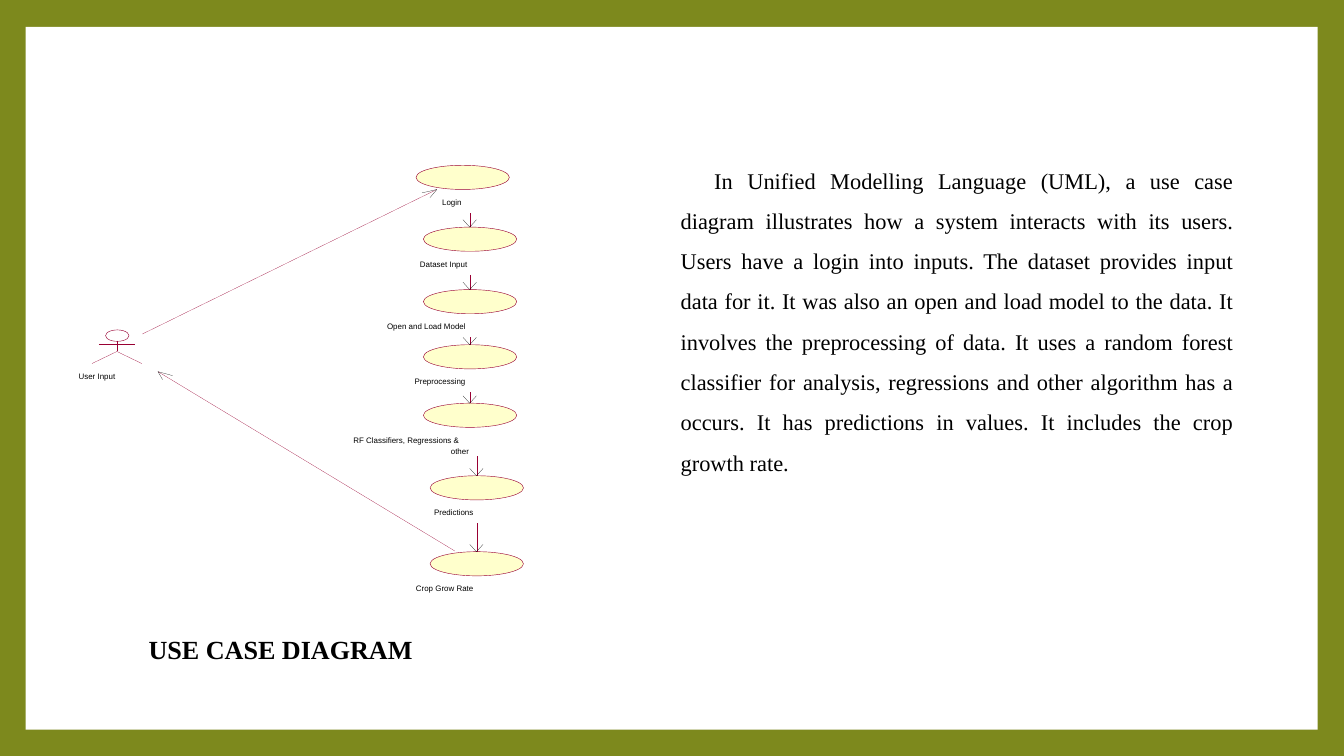
from lxml import etree
from pptx import Presentation
from pptx import util as u
from pptx.dml.color import RGBColor
from pptx.enum import shapes, text
from pptx.oxml import ns

PX = 9144

THEME = {
    "frame": "7D891D", "panel": "FFFFFF", "oval": "FFFFCC",
    "outline": "990033", "ink": "000000",
    "serif": "Times New Roman", "sans": "Arial",
    "title": 28, "body": 24, "label": 8.5,
    "oval_line": 0.44, "limb_line": 0.23, "arrow_line": 0.19,
}

TITLE = "USE CASE DIAGRAM"
BODY = (
    "In Unified Modelling Language (UML), a use case diagram illustrates how a "
    "system interacts with its users. Users have a login into inputs. The dataset "
    "provides input data for it. It was also an open and load model to the data. "
    "It involves the preprocessing of data. It uses a random forest classifier for "
    "analysis, regressions and other algorithm has a occurs. It has predictions in "
    "values. It includes the crop growth rate."
)

USE_CASES = [
    {"oval": (619, 246), "label_left": 658, "label": "Login"},
    {"oval": (630, 338), "label_left": 625, "label": "Dataset Input", "arrow_top": 317},
    {"oval": (630, 431), "label_left": 576, "label": "Open and Load Model", "arrow_top": 409},
    {"oval": (630, 513), "label_left": 617, "label": "Preprocessing", "arrow_top": 502},
    {"oval": (630, 600), "label_left": 526, "label": "RF Classifiers, Regressions &",
     "arrow_top": 584},
    {"oval": (640, 708), "label_left": 646, "label": "Predictions", "arrow_top": 679},
    {"oval": (640, 821), "label_left": 619, "label": "Crop Grow Rate", "arrow_top": 779},
]
OVAL_SIZE = (139, 36)
LABEL_DROP = 47
LABEL_SIZE = (240, 20)
EXTRA_LABELS = [(671, 663, "other"), (117, 552, "User Input")]

ACTOR_HEAD = (157, 491, 35, 17)
ACTOR_LIMBS = [
    ((174, 507), (174, 523)),
    ((147, 512), (201, 512)),
    ((137, 541), (174, 523)),
    ((174, 523), (211, 541)),
]
DOWN_WINGS = ((-10, -11), (10, -11))
ACTOR_ARROWS = [
    ((212, 497), (650, 282), ((-22, 5), (-10, 12))),
    ((677, 820), (235, 553), ((22, 6), (7, 12))),
]


def px(*lengths):
    return [u.Emu(length * PX) for length in lengths]


def color(name):
    return RGBColor.from_string(THEME[name])


def style_line(shape, name, width):
    shape.line.color.rgb = color(name)
    shape.line.width = u.Pt(THEME[width])


def style_font(paragraph, family, size, bold=False):
    paragraph.font.name = THEME[family]
    paragraph.font.size = u.Pt(THEME[size])
    paragraph.font.bold = bold
    paragraph.font.color.rgb = color("ink")


def add_oval(slide, box, fill=None):
    oval = slide.shapes.add_shape(shapes.MSO_SHAPE.OVAL, *px(*box))
    oval.shadow.inherit = False
    if fill:
        oval.fill.solid()
        oval.fill.fore_color.rgb = color(fill)
    else:
        oval.fill.background()
    style_line(oval, "outline", "oval_line")
    return oval


def add_line(slide, start, end, width):
    line = slide.shapes.add_connector(shapes.MSO_CONNECTOR.STRAIGHT, *px(*start, *end))
    style_line(line, "outline", width)
    etree.SubElement(line._element.spPr, ns.qn("a:effectLst"))
    return line


def add_arrow(slide, start, tip, wings):
    shaft = add_line(slide, start, tip, "arrow_line")
    first, last = [(tip[0] + dx, tip[1] + dy) for dx, dy in wings]
    builder = slide.shapes.build_freeform(*first, scale=PX)
    builder.add_line_segments([tip, last], close=False)
    head = builder.convert_to_shape()
    head.shadow.inherit = False
    head.fill.background()
    style_line(head, "ink", "arrow_line")
    return shaft


def add_label(slide, left, top, words):
    frame = slide.shapes.add_textbox(*px(left, top, *LABEL_SIZE)).text_frame
    frame.word_wrap = True
    frame.margin_left = frame.margin_right = frame.margin_top = frame.margin_bottom = 0
    paragraph = frame.paragraphs[0]
    paragraph.text = words
    paragraph.line_spacing = 1.07
    style_font(paragraph, "sans", "label")


def add_panel(slide):
    slide.background.fill.solid()
    slide.background.fill.fore_color.rgb = color("frame")
    panel = slide.shapes.add_shape(shapes.MSO_SHAPE.RECTANGLE, *px(38, 40, 1923, 1046))
    panel.shadow.inherit = False
    panel.fill.solid()
    panel.fill.fore_color.rgb = color("panel")
    panel.line.fill.background()
    slide.shapes._spTree.insert(2, panel._element)


def add_title(slide):
    title = slide.shapes.title
    title.left, title.top, title.width, title.height = px(211, 938, 509, 57)
    frame = title.text_frame
    frame.text = TITLE
    frame.auto_size = text.MSO_AUTO_SIZE.NONE
    frame.vertical_anchor = text.MSO_ANCHOR.TOP
    frame.paragraphs[0].alignment = text.PP_ALIGN.LEFT
    style_font(frame.paragraphs[0], "serif", "title", bold=True)


def add_body(slide):
    frame = slide.shapes.add_textbox(*px(1002, 223, 869, 488)).text_frame
    frame.word_wrap = True
    frame.margin_right = px(36)[0]
    paragraph = frame.paragraphs[0]
    paragraph.text = BODY
    paragraph.alignment = text.PP_ALIGN.JUSTIFY
    paragraph.line_spacing = 1.5
    properties = paragraph._p.get_or_add_pPr()
    properties.set("marL", str(PX))
    properties.set("indent", str(50 * PX))
    style_font(paragraph, "serif", "body")


def add_diagram(slide):
    for case in USE_CASES:
        left, top = case["oval"]
        oval = add_oval(slide, (left, top, *OVAL_SIZE), "oval")
        add_label(slide, case["label_left"], top + LABEL_DROP, case["label"])
        if "arrow_top" in case:
            middle = left + OVAL_SIZE[0] // 2
            shaft = add_arrow(slide, (middle, case["arrow_top"]), (middle, top), DOWN_WINGS)
            shaft.end_connect(oval, 0)
            shaft.begin_x = shaft.end_x
    for label in EXTRA_LABELS:
        add_label(slide, *label)
    add_oval(slide, ACTOR_HEAD)
    for start, end in ACTOR_LIMBS:
        add_line(slide, start, end, "limb_line")
    for start, tip, wings in ACTOR_ARROWS:
        add_arrow(slide, start, tip, wings)


def main():
    presentation = Presentation()
    presentation.slide_width, presentation.slide_height = px(2000, 1125)
    slide = presentation.slides.add_slide(presentation.slide_layouts[5])
    add_panel(slide)
    add_title(slide)
    add_diagram(slide)
    add_body(slide)
    presentation.save("out.pptx")


if __name__ == "__main__":
    main()
